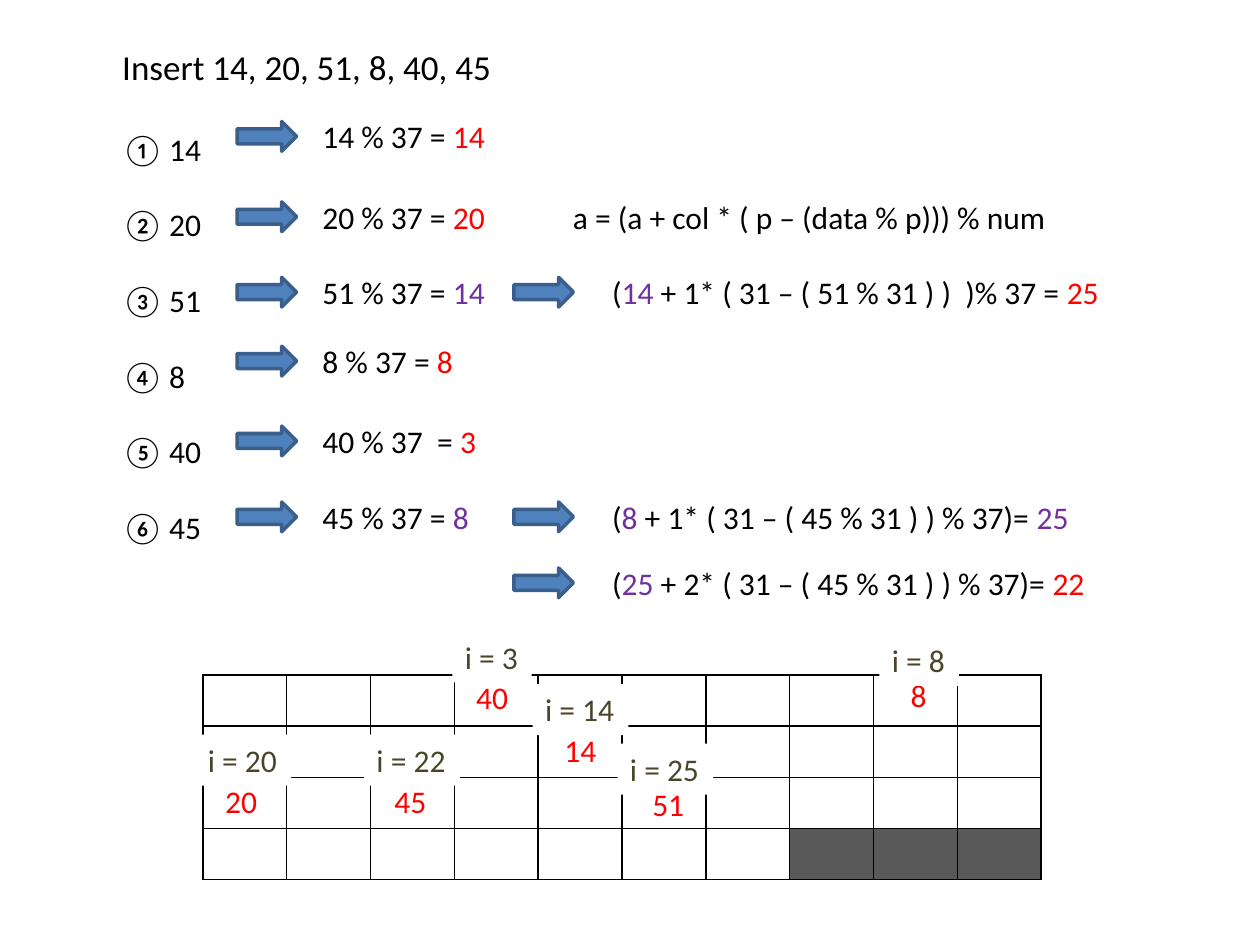
from lxml import etree
from pptx import Presentation
from pptx.dml.color import RGBColor
from pptx.enum.shapes import MSO_SHAPE
from pptx.enum.text import MSO_ANCHOR, MSO_AUTO_SIZE, PP_ALIGN
from pptx.oxml.ns import qn
from pptx.util import Cm, Pt

ARROW = MSO_SHAPE.RIGHT_ARROW
TOP, LEFT = MSO_ANCHOR.TOP, PP_ALIGN.LEFT
GROW, FIXED = MSO_AUTO_SIZE.SHAPE_TO_FIT_TEXT, MSO_AUTO_SIZE.NONE
FONT = "Calibri"
BLACK, RED, PURPLE, OLIVE = "000000", "FF0000", "7030A0", "4A452A"
BLUE, EDGE, WHITE, GREY = "4F81BD", "3A5F8C", "FFFFFF", "595959"

# Content (lengths in cm)
TITLE = "Insert 14, 20, 51, 8, 40, 45"
KEYS = ["14", "20", "51", "8", "40", "45"]
# Hash of each key: top, width, sum, result, colour
HASHES = [
    (2.24, 3.84, "14 % 37 = ", "14", RED),
    (3.86, 3.84, "20 % 37 = ", "20", RED),
    (5.38, 3.84, "51 % 37 = ", "14", PURPLE),
    (6.77, 3.18, "8 % 37 = ", "8", RED),
    (8.38, 3.66, "40 % 37  = ", "3", RED),
    (9.91, 3.5, "45 % 37 = ", "8", PURPLE),
]
# Probe after a clash: top, width, start, sum, result, colour
PROBES = [
    (5.38, 10.62, "14", " + 1* ( 31 – ( 51 % 31 ) )  )% 37 = ", "25", RED),
    (9.91, 10.19, "8", " + 1* ( 31 – ( 45 % 31 ) ) % 37)= ", "25", PURPLE),
    (11.24, 10.52, "25", " + 2* ( 31 – ( 45 % 31 ) ) % 37)= ", "22", RED),
]
RULE = "a = (a + col * ( p – (data % p))) % num"
# Filled slots: index, its place, value, its place
SLOTS = [
    (22, (7.34, 14.81), "45", (7.7, 15.65)),
    (3, (9.12, 12.73), "40", (9.35, 13.54)),
    (8, (17.73, 12.8), "8", (18.11, 13.51)),
    (20, (3.94, 14.81), "20", (4.29, 15.65)),
    (14, (10.74, 13.79), "14", (11.13, 14.61)),
    (25, (12.45, 14.99), "51", (12.9, 15.7)),
]
ROWS, COLS, SIZE = 4, 10, 37

deck = Presentation()
deck.slide_width, deck.slide_height = Cm(25.4), Cm(19.05)
slide = deck.slides.add_slide(deck.slide_layouts[5])
shapes = slide.shapes


def color(code):
    return RGBColor.from_string(code)


def write(para, runs, size=18):
    for words, code in runs:
        run = para.add_run()
        run.text = words
        run.font.name, run.font.size = FONT, Pt(size)
        run.font.color.rgb = color(code)


def text(x, y, w, runs, h=1.03):
    box = shapes.add_textbox(Cm(x), Cm(y), Cm(w), Cm(h))
    box.text_frame.word_wrap = False
    box.text_frame.auto_size = GROW
    write(box.text_frame.paragraphs[0], runs)
    return box


def arrow(x, y):
    shape = shapes.add_shape(ARROW, Cm(x), Cm(y + 0.21), Cm(1.2), Cm(0.6))
    shape.shadow.inherit = False
    shape.fill.solid()
    shape.fill.fore_color.rgb = color(BLUE)
    shape.line.color.rgb = color(EDGE)
    shape.line.width = Pt(2)


def border(cell):
    props = cell._tc.get_or_add_tcPr()
    for n, side in enumerate(("lnL", "lnR", "lnT", "lnB")):
        line = etree.Element(qn("a:" + side), w=str(Pt(1)))
        fill = etree.SubElement(line, qn("a:solidFill"))
        etree.SubElement(fill, qn("a:srgbClr"), val=BLACK)
        props.insert(n, line)


# Title
title = shapes.title
title.left, title.top, title.width, title.height = Cm(2.21), Cm(0.79), Cm(8), Cm(1.11)
frame = title.text_frame
frame.word_wrap, frame.auto_size, frame.vertical_anchor = False, FIXED, TOP
frame.paragraphs[0].alignment = LEFT
write(frame.paragraphs[0], [(TITLE, BLACK)], 20)

# Numbered keys
frame = text(2.21, 1.73, 2.26, [], 9.27).text_frame
for n, key in enumerate(KEYS):
    para = frame.add_paragraph() if n else frame.paragraphs[0]
    write(para, [(key, BLACK)])
    para.line_spacing = 2.0
    props = para._p.get_or_add_pPr()
    props.set("marL", str(Cm(0.95)))
    props.set("indent", str(-Cm(0.95)))
    etree.SubElement(props, qn("a:buFont"), typeface="+mj-lt")
    etree.SubElement(props, qn("a:buAutoNum"), type="circleNumWdWhitePlain")

# Hashes, rule and probes
for y, w, calc, result, code in HASHES:
    text(6.25, y, w, [(calc, BLACK), (result, code)])
    arrow(4.78, y)
text(11.3, 3.86, 10.19, [(RULE, BLACK)])
for y, w, start, calc, result, code in PROBES:
    arrow(10.36, y)
    text(12.09, y, w, [("(", BLACK), (start, PURPLE), (calc, BLACK), (result, code)])

# Hash table, with the cells past its size in grey
table = shapes.add_table(ROWS, COLS, Cm(4.09), Cm(13.61), Cm(16.93), Cm(4.12)).table
table.first_row = table.horz_banding = False
for col in table.columns:
    col.width = Cm(1.69)
for row in table.rows:
    row.height = Cm(1.03)
for n, cell in enumerate(table.iter_cells()):
    if n < SIZE:
        cell.fill.background()
    else:
        cell.fill.solid()
        cell.fill.fore_color.rgb = color(GREY)
    border(cell)

# Values, then index labels over them
for _, _, value, (x, y) in SLOTS:
    text(x, y, 1.17 if len(value) > 1 else 0.84, [(value, RED)])
for index, (x, y), _, _ in SLOTS:
    tag = text(x, y, 1.93 if index > 9 else 1.6, [(f"i = {index}", OLIVE)])
    tag.fill.solid()
    tag.fill.fore_color.rgb = color(WHITE)

deck.save("out.pptx")
